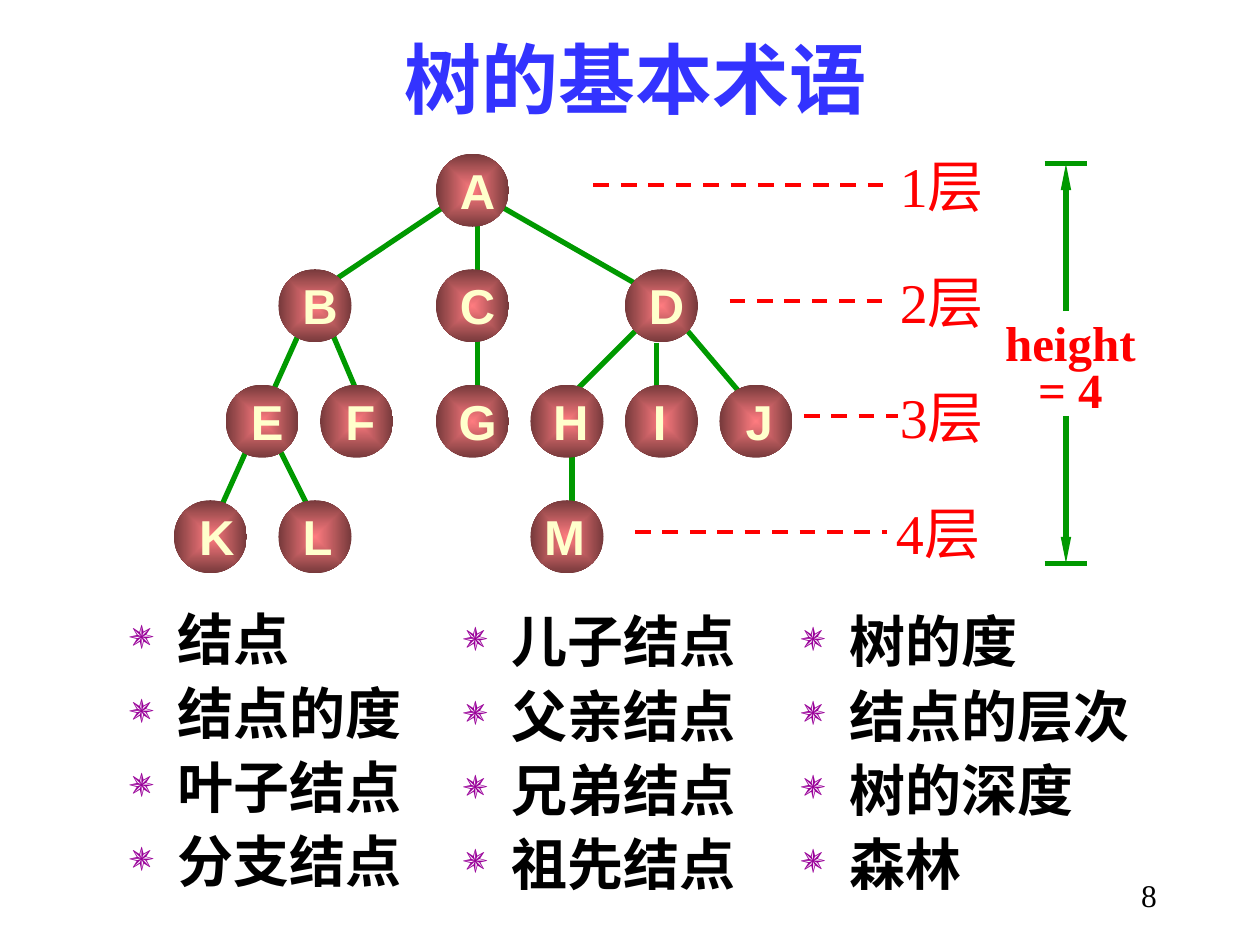
from pptx import Presentation
from pptx.dml.color import RGBColor
from pptx.enum.dml import MSO_LINE
from pptx.enum.shapes import MSO_CONNECTOR, MSO_SHAPE
from pptx.enum.text import MSO_ANCHOR as Anchor, PP_ALIGN as Align
from pptx.oxml.ns import qn
from pptx.util import Inches, Pt
from lxml.etree import SubElement

WHITE = RGBColor(0xFF, 0xFF, 0xFF)
BLUE = RGBColor(0x33, 0x33, 0xFF)
RED = RGBColor(0xFF, 0x00, 0x00)
GREEN = RGBColor(0x00, 0x99, 0x00)
BLACK = RGBColor(0x00, 0x00, 0x00)
PURPLE = RGBColor(0x99, 0x00, 0x99)
CREAM = RGBColor(0xFF, 0xFF, 0xCC)
NODE_CENTER = RGBColor(0xFF, 0x7C, 0x80)
NODE_EDGE = RGBColor(0x76, 0x39, 0x3B)

SERIF = "Times New Roman"
SANS = "Arial"
CJK = "Noto Sans CJK SC"

ROW_PITCH = 2.75 / 3
NODE_SIZE = 0.58
LABEL_HEIGHT = 0.57

# letter: left, row, label offset, label width
NODES = {
    "A": (2.08, 0, 0.09, 0.48),
    "B": (0.83, 1, 0.09, 0.48),
    "C": (2.08, 1, 0.09, 0.48),
    "D": (3.58, 1, 0.09, 0.48),
    "E": (0.41, 2, 0.1, 0.46),
    "F": (1.16, 2, 0.1, 0.44),
    "G": (2.08, 2, 0.08, 0.5),
    "H": (2.83, 2, 0.08, 0.48),
    "I": (3.58, 2, 0.12, 0.31),
    "J": (4.33, 2, 0.11, 0.41),
    "K": (0, 3, 0.1, 0.48),
    "L": (0.83, 3, 0.09, 0.44),
    "M": (2.83, 3, 0.01, 0.52),
}
EDGES = [
    (4.08, 1.41, 4.58, 2.0),
    (3.66, 1.41, 3.16, 1.91),
    (3.83, 1.5, 3.83, 1.91),
    (3.16, 2.41, 3.16, 2.91),
    (2.58, 0.41, 3.75, 1.08),
    (2.16, 0.41, 1.16, 1.08),
    (2.41, 0.5, 2.41, 2.41),
    (1.25, 1.41, 1.5, 2.0),
    (0.83, 2.33, 1.08, 2.83),
    (1.0, 1.41, 0.25, 3.08),
]
LEVELS = [
    ("1层", 0, 2.33, 2.28),
    ("2层", 1.08, 2.33, 2.28),
    ("3层", 1.67, 2.42, 2.28),
    ("4层", 0.33, 2.33, 2.25),
]
TERM_LISTS = [
    (0.93, 4.75, 2.42, ["结点", "结点的度", "叶子结点", "分支结点"]),
    (3.58, 4.77, 2.4, ["儿子结点", "父亲结点", "兄弟结点", "祖先结点"]),
    (6.26, 4.77, 2.99, ["树的度", "结点的层次", "树的深度", "森林"]),
]


def format_runs(paragraph, size, color, bold=False, font=SERIF):
    """Give every run of a paragraph its Latin and East Asian font, size and colour."""
    for run in paragraph.runs:
        run.font.name = font
        run.font.size = Pt(size)
        run.font.bold = bold
        run.font.color.rgb = color
        SubElement(run.font._element, qn("a:ea"), typeface=CJK)


def add_text(slide, box, text, size, color, bold=False, font=SERIF,
             align=Align.CENTER, anchor=Anchor.MIDDLE, wrap=False):
    """Add a text box, without side margins if it does not wrap, and return it."""
    shape = slide.shapes.add_textbox(*map(Inches, box))
    text_frame = shape.text_frame
    text_frame.word_wrap = wrap
    if not wrap:
        text_frame.margin_left = text_frame.margin_right = 0
    text_frame.vertical_anchor = anchor
    text_frame.text = text
    for paragraph in text_frame.paragraphs:
        paragraph.alignment = align
        format_runs(paragraph, size, color, bold, font)
    return shape


def add_line(slide, points, color, width, dashed=False, arrow=False):
    """Add a straight line, dashed or ending in a slim arrowhead if asked."""
    line = slide.shapes.add_connector(MSO_CONNECTOR.STRAIGHT, *map(Inches, points))
    line.line.color.rgb = color
    line.line.width = Pt(width)
    if dashed:
        line.line.dash_style = MSO_LINE.DASH
    if arrow:
        SubElement(line.line._get_or_add_ln(), qn("a:tailEnd"),
                   type="triangle", w="sm", len="lg")
    SubElement(line._element.spPr, qn("a:effectLst"))


def add_title(slide, box, text):
    """Add the title on its white box."""
    title = add_text(slide, box, text, 44, BLUE, True, align=Align.LEFT, wrap=True)
    title.fill.solid()
    title.fill.fore_color.rgb = WHITE


def add_node(slide, left, top):
    """Add one tree node shaded from its centre outwards."""
    node = slide.shapes.add_shape(
        MSO_SHAPE.OVAL, *map(Inches, (left, top, NODE_SIZE, NODE_SIZE)))
    node.shadow.inherit = False
    node.line.fill.background()
    node.fill.gradient()
    for stop, color in zip(node.fill.gradient_stops, (NODE_CENTER, NODE_EDGE)):
        stop.color.rgb = color
    gradient = node._element.spPr.find(qn("a:gradFill"))
    gradient.remove(gradient.find(qn("a:lin")))
    shade = SubElement(gradient, qn("a:path"), path="rect")
    SubElement(shade, qn("a:fillToRect"), l="50000", t="50000", r="50000", b="50000")


def add_tree(slide, left, top):
    """Draw the edges, then the nodes, then their letters."""
    for x1, y1, x2, y2 in EDGES:
        add_line(slide, (left + x1, top + y1, left + x2, top + y2), GREEN, 3)
    for x, row, _, _ in NODES.values():
        add_node(slide, left + x, top + row * ROW_PITCH)
    for letter, (x, row, offset, width) in NODES.items():
        box = (left + x + offset, top + row * ROW_PITCH, width, LABEL_HEIGHT)
        add_text(slide, box, letter, 28, CREAM, True, SANS)


def add_levels(slide, left, top):
    """Draw a dashed line and a label for each level of the tree."""
    for row, (label, start, end, label_left) in enumerate(LEVELS):
        y = top + row * ROW_PITCH
        add_line(slide, (left + start, y + 0.32, left + end, y + 0.32), RED, 2.25, dashed=True)
        add_text(slide, (left + label_left, y, 0.97, 0.64), label, 32, RED)


def add_height_mark(slide, left, top, height):
    """Draw the height label between two arrows that end at ticks."""
    label = add_text(slide, (left, top + 1.22, 1.23, 0.85), "height\n= 4", 28, RED, True)
    for paragraph in label.text_frame.paragraphs:
        paragraph.line_spacing = 0.8
    middle = left + 0.58
    for tick, inward in ((top, 1.17), (top + height, -1.17)):
        add_line(slide, (middle - 0.17, tick, middle + 0.17, tick), GREEN, 3)
        add_line(slide, (middle, tick + inward, middle, tick), GREEN, 3, arrow=True)


def add_bullet(paragraph):
    """Give a paragraph a hanging purple star bullet."""
    properties = paragraph._p.get_or_add_pPr()
    properties.set("marL", str(Inches(0.38)))
    properties.set("indent", str(-Inches(0.38)))
    bullet_color = SubElement(properties, qn("a:buClr"))
    SubElement(bullet_color, qn("a:srgbClr"), val=str(PURPLE))
    SubElement(properties, qn("a:buSzPct"), val="75000")
    SubElement(properties, qn("a:buChar"), char="✵")


def add_term_list(slide, left, top, width, terms):
    """Add one column of bulleted terms."""
    shape = add_text(slide, (left, top, width, 2.4), "\n".join(terms), 32, BLACK, True,
                     align=Align.LEFT, anchor=Anchor.TOP, wrap=True)
    for index, paragraph in enumerate(shape.text_frame.paragraphs):
        add_bullet(paragraph)
        paragraph.line_spacing = Pt(38.3)
        if index:
            paragraph.space_before = Pt(4)


def main():
    """Build the slide and save it."""
    presentation = Presentation()
    presentation.slide_width = Inches(10)
    presentation.slide_height = Inches(7.5)
    slide = presentation.slides.add_slide(presentation.slide_layouts[6])
    add_title(slide, (3.11, 0.21, 4.88, 0.82), "树的基本术语")
    add_levels(slide, 4.71, 1.15)
    add_height_mark(slide, 7.88, 1.3, 3.17)
    add_tree(slide, 1.38, 1.22)
    for term_list in TERM_LISTS:
        add_term_list(slide, *term_list)
    add_text(slide, (7.2, 6.9, 2.08, 0.5), "8", 18, BLACK,
             align=Align.RIGHT, anchor=Anchor.TOP, wrap=True)
    presentation.save("out.pptx")


if __name__ == "__main__":
    main()
